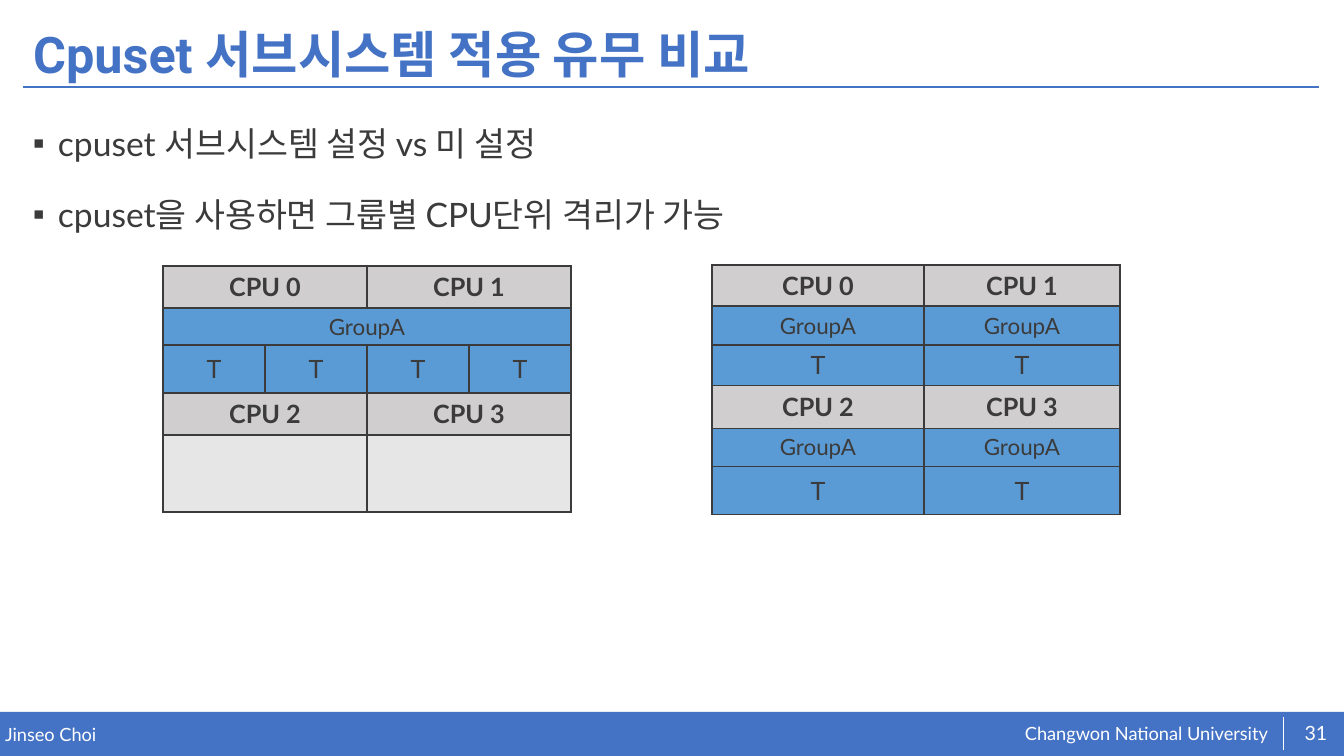
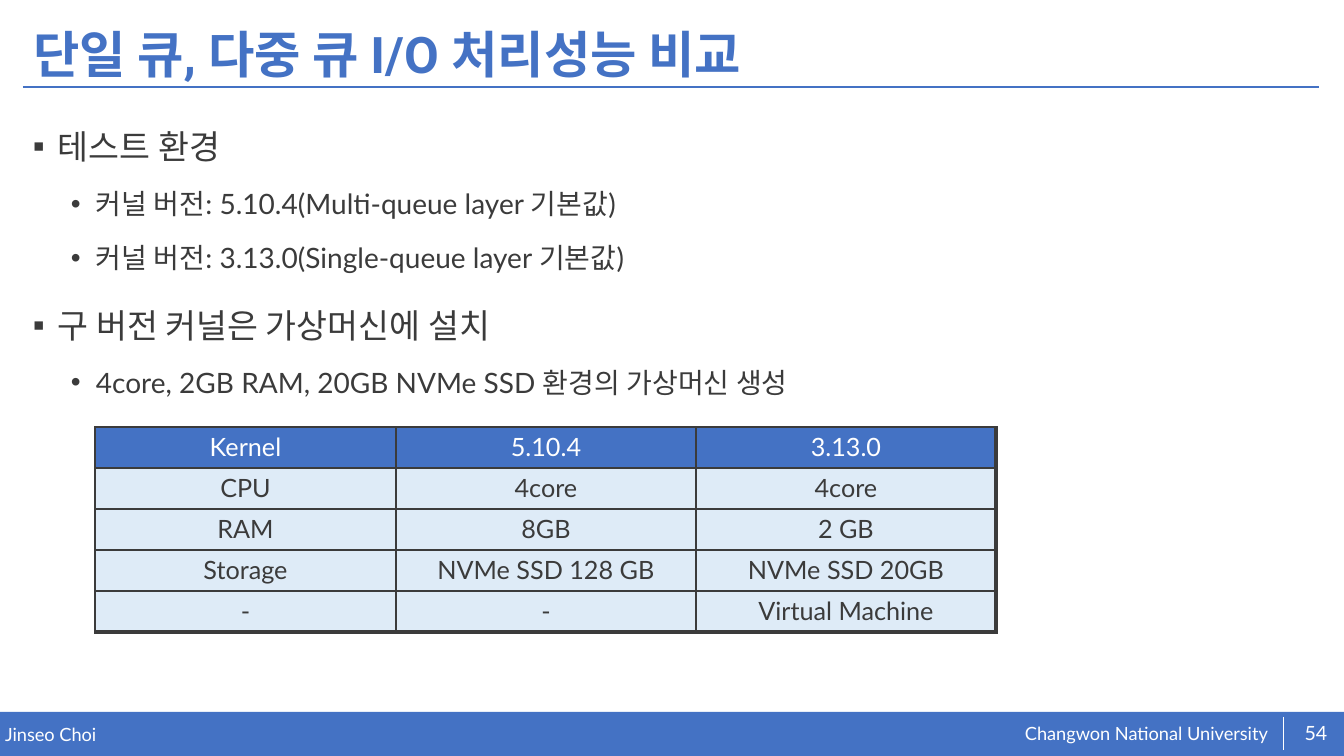
from lxml.etree import SubElement
from pptx import Presentation
from pptx.dml.color import RGBColor
from pptx.enum.shapes import MSO_CONNECTOR, MSO_SHAPE
from pptx.enum.text import MSO_ANCHOR, MSO_AUTO_SIZE, PP_ALIGN
from pptx.oxml import parse_xml
from pptx.oxml.ns import nsdecls, qn
from pptx.util import Pt

BLUE = RGBColor(0x44, 0x72, 0xC4)
SKY = RGBColor(0x5B, 0x9B, 0xD5)
PALE = RGBColor(0xDE, 0xEB, 0xF7)
GRAY = RGBColor(0xD0, 0xCE, 0xCE)
LIGHT = RGBColor(0xE7, 0xE6, 0xE6)
INK = RGBColor(0x3B, 0x3B, 0x3B)
WHITE = RGBColor(0xFF, 0xFF, 0xFF)

W, H = 1344, 756
SCALE = 12192000 / W
BAND_TOP = 712
LINES = [
    ((23, 87, 1319, 87), BLUE, 2),
    ((1283, 717, 1283, 750), WHITE, 0.5),
]
FOOTERS = [
    ("Jinseo Choi", (5, 723, 660, 22)),
    ("Changwon National University", (1025, 722, 269, 23)),
]

TITLE_FONT = {"name": "Roboto", "size": Pt(36), "bold": True}
FOOTER_FONT = {"name": "Lato", "size": Pt(13)}
NUMBER_FONT = {"name": "Lato", "size": Pt(14)}
LEVELS = [
    {"bullet": "▪", "indent": 25, "before": 10, "font": {"name": "Lato", "size": Pt(24)}},
    {"bullet": "•", "indent": 63, "before": 5, "font": {"name": "Lato", "size": Pt(20)}},
]

ROW_STYLES = {
    "cpu": (GRAY, INK, {"size": Pt(18), "bold": True}, MSO_ANCHOR.MIDDLE),
    "group": (SKY, INK, {"size": Pt(16), "bold": False}, MSO_ANCHOR.MIDDLE),
    "task": (SKY, INK, {"size": Pt(18), "bold": False}, MSO_ANCHOR.MIDDLE),
    "idle": (LIGHT, INK, {"size": Pt(18), "bold": False}, MSO_ANCHOR.MIDDLE),
    "head": (BLUE, WHITE, {"size": Pt(18), "bold": False}, MSO_ANCHOR.TOP),
    "data": (PALE, INK, {"size": Pt(18), "bold": False}, MSO_ANCHOR.TOP),
}

SLIDES = [
    {
        "number": "31",
        "title": "Cpuset 서브시스템 적용 유무 비교",
        "body_at": (23, 102, 1296, 568),
        "body": [
            (0, "cpuset 서브시스템 설정 vs 미 설정"),
            (0, "cpuset을 사용하면 그룹별 CPU단위 격리가 가능"),
        ],
        "tables": [
            {
                "at": (163, 266),
                "cols": [102] * 4,
                "edge": 1,
                "rows": [
                    ("cpu", 42, ["CPU 0", "CPU 1"]),
                    ("group", 37, ["GroupA"]),
                    ("task", 48, ["T"] * 4),
                    ("cpu", 42, ["CPU 2", "CPU 3"]),
                    ("idle", 77, ["", ""]),
                ],
            },
            {
                "at": (712, 265),
                "cols": [212, 196],
                "edge": 1,
                "rows": [
                    ("cpu", 41, ["CPU 0", "CPU 1"]),
                    ("group", 39, ["GroupA"] * 2),
                    ("task", 40, ["T"] * 2),
                    ("cpu", 43, ["CPU 2", "CPU 3"]),
                    ("group", 38, ["GroupA"] * 2),
                    ("task", 48, ["T"] * 2),
                ],
            },
        ],
    },
    {
        "number": "54",
        "title": "단일 큐, 다중 큐 I/O 처리성능 비교",
        "body_at": (23, 105, 1296, 568),
        "body": [
            (0, "테스트 환경"),
            (1, "커널 버전: 5.10.4(Multi-queue layer 기본값)"),
            (1, "커널 버전: 3.13.0(Single-queue layer 기본값)"),
            (0, "구 버전 커널은 가상머신에 설치"),
            (1, "4core, 2GB RAM, 20GB NVMe SSD 환경의 가상머신 생성"),
        ],
        "tables": [
            {
                "at": (95, 427),
                "cols": [301, 300, 300],
                "edge": 3,
                "rows": [
                    ("head", 41, ["Kernel", "5.10.4", "3.13.0"]),
                    ("data", 41, ["CPU", "4core", "4core"]),
                    ("data", 41, ["RAM", "8GB", "2 GB"]),
                    ("data", 41, ["Storage", "NVMe SSD 128 GB", "NVMe SSD 20GB"]),
                    ("data", 41, ["-", "-", "Virtual Machine"]),
                ],
            },
        ],
    },
]


def px(n):
    return round(n * SCALE)


def apply(obj, values):
    for name, value in values.items():
        setattr(obj, name, value)


def write(p, text, font, color):
    r = p.add_run()
    r.text = text
    apply(r.font, font)
    r.font.color.rgb = color


def add_text(s, at, text, font, color, **frame):
    tf = s.shapes.add_textbox(*map(px, at)).text_frame
    margins = dict.fromkeys(("margin_left", "margin_top", "margin_right", "margin_bottom"), 0)
    apply(tf, {"word_wrap": True, **margins, **frame})
    write(tf.paragraphs[0], text, font, color)
    return tf


def add_line(s, ends, color, width):
    c = s.shapes.add_connector(MSO_CONNECTOR.STRAIGHT, *map(px, ends))
    c.line.color.rgb = color
    c.line.width = Pt(width)
    SubElement(c._element.spPr, qn("a:effectLst"))


def add_frame(s, number):
    band = s.shapes.add_shape(MSO_SHAPE.RECTANGLE, 0, px(BAND_TOP), px(W), px(H - BAND_TOP))
    band.shadow.inherit = False
    band.fill.solid()
    band.fill.fore_color.rgb = BLUE
    band.line.fill.background()
    for ends, color, width in LINES:
        add_line(s, ends, color, width)
    for text, at in FOOTERS:
        add_text(s, at, text, FOOTER_FONT, WHITE)
    tf = add_text(s, (1292, 713, 48, 40), number, NUMBER_FONT, WHITE,
                  vertical_anchor=MSO_ANCHOR.MIDDLE)
    tf.paragraphs[0].alignment = PP_ALIGN.CENTER


def set_title(s, text):
    sp = s.shapes.title
    apply(sp, {"left": px(23), "top": px(18), "width": px(1296), "height": px(78)})
    tf = sp.text_frame
    apply(tf, {"word_wrap": True, "auto_size": MSO_AUTO_SIZE.NONE,
               "vertical_anchor": MSO_ANCHOR.MIDDLE})
    p = tf.paragraphs[0]
    apply(p, {"alignment": PP_ALIGN.LEFT, "line_spacing": 0.9})
    write(p, text, TITLE_FONT, BLUE)


def add_body(s, at, items):
    tf = s.shapes.add_textbox(*map(px, at)).text_frame
    tf.word_wrap = True
    for i, (level, text) in enumerate(items):
        p = tf.add_paragraph() if i else tf.paragraphs[0]
        style = LEVELS[level]
        pPr = p._p.get_or_add_pPr()
        pPr.set("marL", str(px(style["indent"])))
        pPr.set("indent", str(-px(25)))
        SubElement(pPr, qn("a:buFont"), typeface="Arial")
        SubElement(pPr, qn("a:buChar"), char=style["bullet"])
        apply(p, {"level": level, "line_spacing": 1.4,
                  "space_before": Pt(style["before"] if i else 0)})
        write(p, text, style["font"], INK)


def set_borders(cell, widths):
    tcPr = cell._tc.get_or_add_tcPr()
    for i, (side, width) in enumerate(zip("LRTB", widths)):
        tcPr.insert(i, parse_xml(
            f'<a:ln{side} {nsdecls("a")} w="{Pt(width)}"><a:solidFill>'
            f'<a:srgbClr val="{INK}"/></a:solidFill></a:ln{side}>'))


def add_grid(s, at, cols, edge, rows):
    size = sum(cols), sum(height for _, height, _ in rows)
    table = s.shapes.add_table(len(rows), len(cols), *map(px, at + size)).table
    apply(table, {"first_row": False, "horz_banding": False})
    for column, width in zip(table.columns, cols):
        column.width = px(width)
    for y, (style, height, texts) in enumerate(rows):
        fill, color, font, anchor = ROW_STYLES[style]
        table.rows[y].height = px(height)
        for x in range(len(cols)):
            cell = table.cell(y, x)
            cell.fill.solid()
            cell.fill.fore_color.rgb = fill
            right = edge if x == len(cols) - 1 else 1
            bottom = edge if y == len(rows) - 1 else 1
            set_borders(cell, (1, right, 1, bottom))
        span = len(cols) // len(texts)
        for i, text in enumerate(texts):
            cell = table.cell(y, i * span)
            if span > 1:
                cell.merge(table.cell(y, (i + 1) * span - 1))
            cell.vertical_anchor = anchor
            if text:
                p = cell.text_frame.paragraphs[0]
                p.alignment = PP_ALIGN.CENTER
                write(p, text, {"name": "Lato", **font}, color)


def main():
    prs = Presentation()
    apply(prs, {"slide_width": px(W), "slide_height": px(H)})
    for content in SLIDES:
        s = prs.slides.add_slide(prs.slide_layouts[5])
        add_frame(s, content["number"])
        set_title(s, content["title"])
        add_body(s, content["body_at"], content["body"])
        for grid in content["tables"]:
            add_grid(s, **grid)
    prs.save("out.pptx")


if __name__ == "__main__":
    main()
